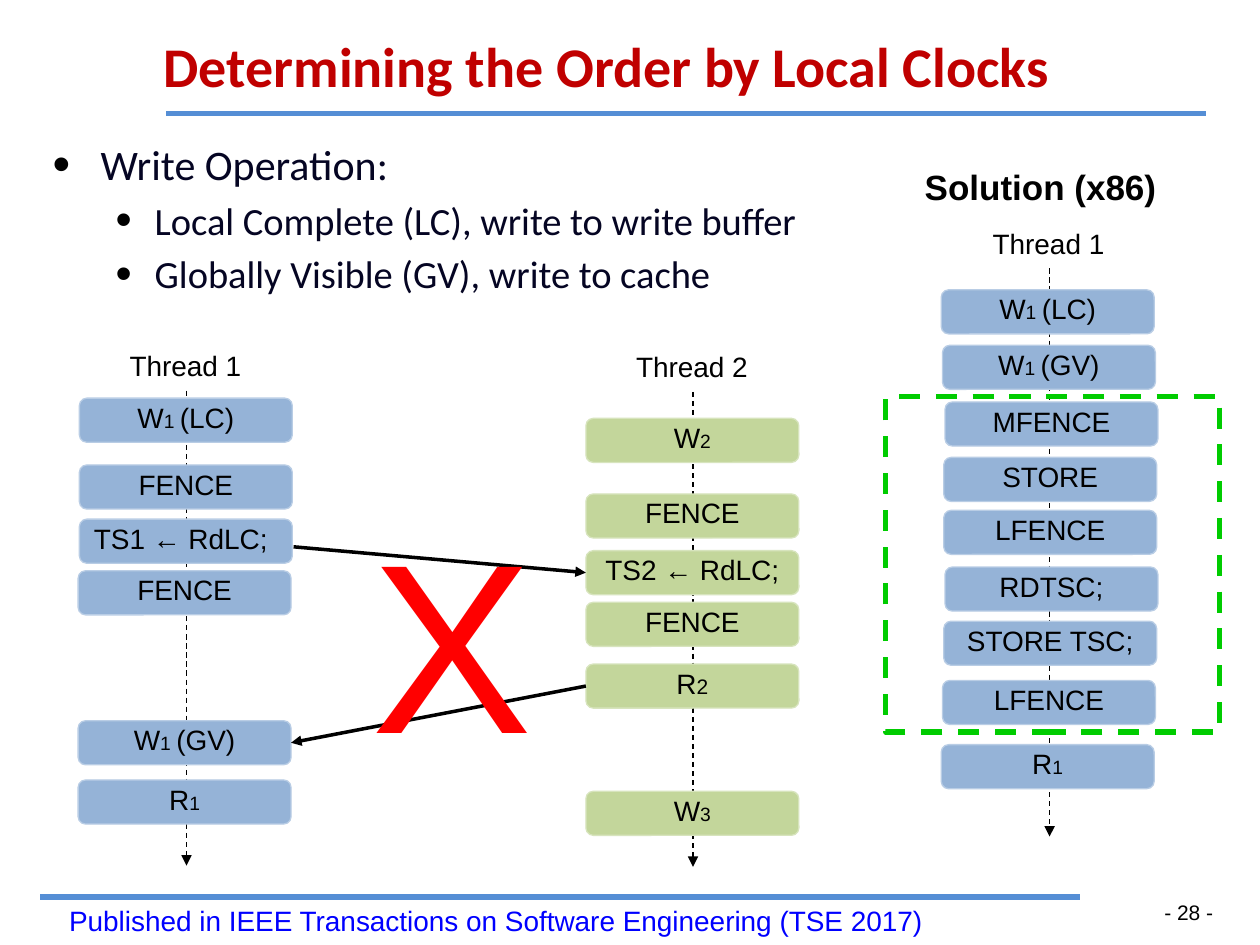
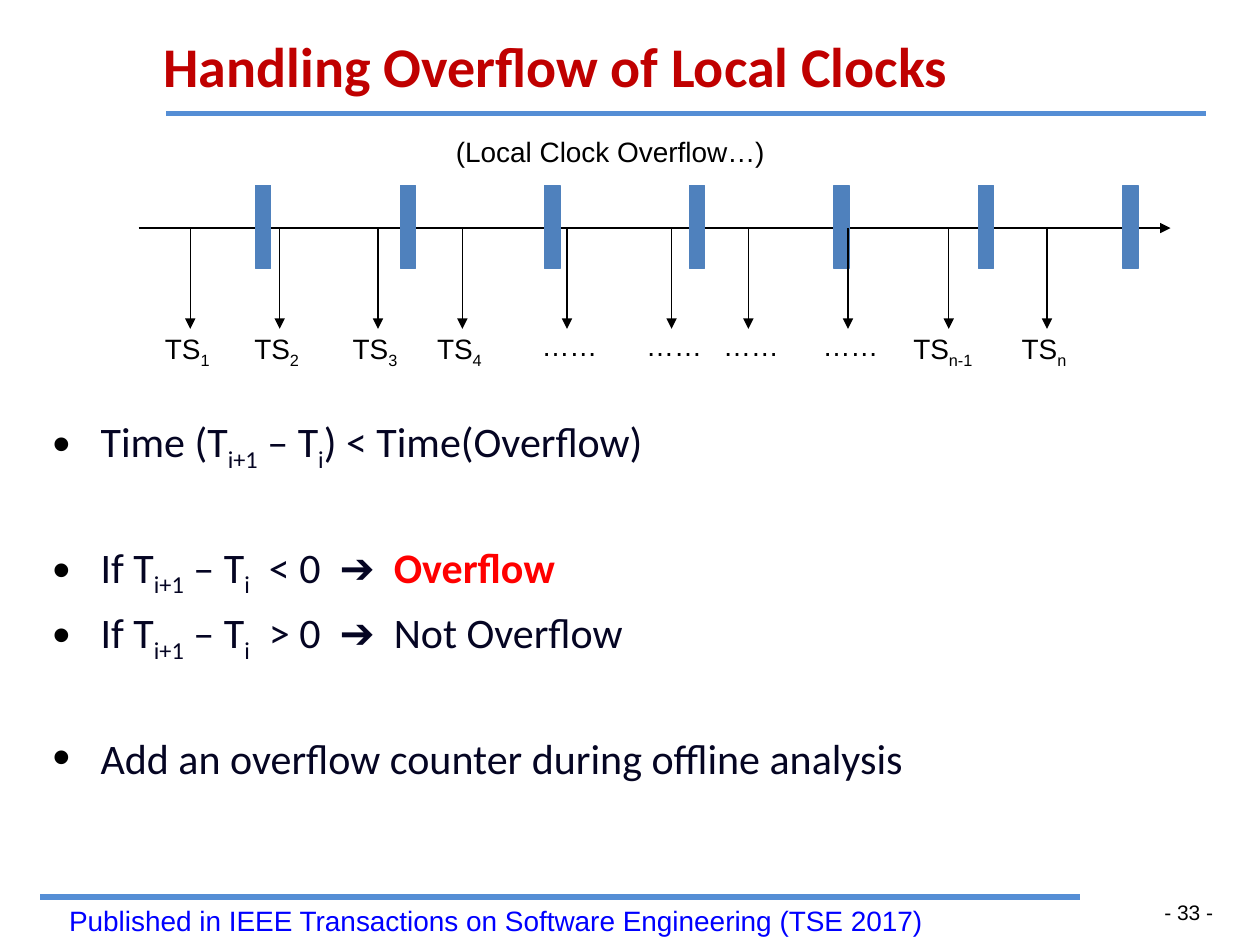
from lxml import etree
from pptx import Presentation
from pptx.dml.color import RGBColor
from pptx.enum.dml import MSO_LINE
from pptx.enum.shapes import MSO_CONNECTOR, MSO_SHAPE
from pptx.enum.text import MSO_ANCHOR, PP_ALIGN
from pptx.oxml.ns import qn
from pptx.util import Inches, Pt

COLORS = {
    "title": "C00000", "rule": "558ED5", "footer": "0000FF", "body": "050523",
    "black": "000000", "red": "FF0000", "highlight": "00CC00", "bar": "4F81BD",
    "blue": "95B3D7", "blue edge": "B9CDE5",
    "green": "C3D69B", "green edge": "D7E4BD",
}
FOOTER = "Published in IEEE Transactions on Software Engineering (TSE 2017)"

# A paragraph is a list of spans; a span is a text or a (text, format) pair.
SMALL = {"size": 11}
LOW = {"baseline": -25}
WIDE_SPACE = (" ", {"tracking": 5.4})
W1_LOCAL = ["W", ("1 ", SMALL), "(LC)"]
W1_GLOBAL = ["W", ("1 ", SMALL), "(GV)"]
R1 = ["R", ("1", SMALL)]

# Bullets: (level, space before in points, spans)
WRITE_BULLETS = [
    (0, 0, ["Write Operation:"]),
    (1, 4.4, ["Local Complete (LC), write to write buffer"]),
    (1, 4.4, ["Globally Visible (GV), write to cache"]),
]
DIFFERENCE = ["If T", ("i+1", LOW), " – T", ("i", LOW), WIDE_SPACE]
OVERFLOW_BULLETS = [
    (0, 0, ["Time (T", ("i+1", LOW), " – T", ("i", LOW), ") < Time(Overflow)"]),
    (0, 38.9, DIFFERENCE + ["< 0", WIDE_SPACE, "➔", WIDE_SPACE,
                            ("Overflow", {"color": "red", "bold": True})]),
    (0, 4.8, DIFFERENCE + ["> 0", WIDE_SPACE, "➔", WIDE_SPACE, "Not Overflow"]),
    (0, 38.9, ["Add an overflow counter during offline analysis"]),
]
BULLET_LEVELS = [
    {"margin": 0.38, "hanging": 0.38, "size": 24},
    {"margin": 0.81, "hanging": 0.31, "size": 22},
]

# Operations: (left, top, spans)
THREADS = [
    {"name": "Thread 1", "axis": 1.48, "top": 2.77, "end": 6.87, "color": "blue",
     "operations": [
         (0.63, 3.16, W1_LOCAL), (0.63, 3.69, ["FENCE"]),
         (0.63, 4.12, ["TS1 ← RdLC;"]), (0.62, 4.53, ["FENCE"]),
         (0.62, 5.72, W1_GLOBAL), (0.62, 6.19, R1)]},
    {"name": "Thread 2", "axis": 5.5, "top": 2.78, "end": 6.88, "color": "green",
     "operations": [
         (4.65, 3.32, ["W", ("2", SMALL)]), (4.65, 3.92, ["FENCE"]),
         (4.65, 4.37, ["TS2 ← RdLC;"]), (4.65, 4.78, ["FENCE"]),
         (4.65, 5.27, ["R", ("2", {"size": 12})]), (4.65, 6.28, ["W", ("3", SMALL)])]},
    {"name": "Thread 1", "axis": 8.33, "top": 1.8, "end": 6.64, "color": "blue",
     "operations": [
         (7.47, 2.3, W1_LOCAL), (7.48, 2.74, W1_GLOBAL), (7.5, 3.19, ["MFENCE"]),
         (7.49, 3.63, ["STORE"]), (7.49, 4.05, ["LFENCE"]), (7.5, 4.5, ["RDTSC;"]),
         (7.49, 4.93, ["STORE TSC;"]), (7.48, 5.4, ["LFENCE"]), (7.47, 5.91, R1)]},
]

# Time stamps: (x of the tick, spans)
TIME_STAMPS = [
    (1.51, ["TS", ("1", LOW)]), (2.22, ["TS", ("2", LOW)]),
    (3.0, ["TS", ("3", LOW)]), (3.67, ["TS", ("4", LOW)]),
    (4.5, ["……"]), (5.33, ["……"]), (5.94, ["……"]), (6.73, ["……"]),
    (7.45, ["TS", ("n-1", LOW)]), (8.31, ["TS", ("n", LOW)]),
]
LAST_BUT_ONE_TICK = 7.53
TIMELINE_Y = 1.81
OVERFLOW_COUNT, OVERFLOW_LEFT, OVERFLOW_STEP = 7, 2.03, 1.147


def rgb(name):
    return RGBColor.from_string(COLORS[name])


def write(para, spans, *, size=16, font="Arial", color="black", bold=False,
          spacing=0.8, before=0, align=PP_ALIGN.LEFT):
    """Fill a paragraph with spans that share a format unless they override it."""
    para.alignment = align
    para.line_spacing = spacing
    para.space_before = Pt(before)
    for item in spans:
        text, own = (item, {}) if isinstance(item, str) else item
        span = para.add_run()
        span.text = text
        span.font.name = font
        span.font.size = Pt(own.get("size", size))
        span.font.bold = own.get("bold", bold)
        span.font.color.rgb = rgb(own.get("color", color))
        properties = span._r.get_or_add_rPr()
        if "baseline" in own:
            properties.set("baseline", str(own["baseline"] * 1000))
        if "tracking" in own:
            properties.set("spc", str(round(own["tracking"] * 100)))


def add_box(page, left, top, width, height, spans=None, *, wrap=True,
            anchor=MSO_ANCHOR.TOP, inset=(0.1, 0.05), **text_format):
    box = page.shapes.add_textbox(Inches(left), Inches(top), Inches(width), Inches(height))
    frame = box.text_frame
    frame.word_wrap = wrap
    frame.vertical_anchor = anchor
    frame.margin_left = frame.margin_right = Inches(inset[0])
    frame.margin_top = frame.margin_bottom = Inches(inset[1])
    if spans:
        write(frame.paragraphs[0], spans, **text_format)
    return box


def add_shape(page, kind, left, top, width, height, *, fill=None, edge, weight=0.75):
    shape = page.shapes.add_shape(
        kind, Inches(left), Inches(top), Inches(width), Inches(height))
    shape.shadow.inherit = False
    if fill:
        shape.fill.solid()
        shape.fill.fore_color.rgb = rgb(fill)
    else:
        shape.fill.background()
    shape.line.color.rgb = rgb(edge)
    shape.line.width = Pt(weight)
    return shape


def add_line(page, start, end, *, color="black", weight=0.75, dashed=False, arrow=True):
    line = page.shapes.add_connector(
        MSO_CONNECTOR.STRAIGHT, *(Inches(value) for value in (*start, *end)))
    line.line.color.rgb = rgb(color)
    line.line.width = Pt(weight)
    if dashed:
        line.line.dash_style = MSO_LINE.DASH
    if arrow:
        etree.SubElement(line.line._get_or_add_ln(), qn("a:tailEnd"), type="triangle")
    etree.SubElement(line._element.spPr, qn("a:effectLst"))
    return line


def add_bullets(page, top, height, bullets):
    frame = add_box(page, 0.32, top, 9.36, height).text_frame
    for index, (level, before, spans) in enumerate(bullets):
        para = frame.add_paragraph() if index else frame.paragraphs[0]
        look = BULLET_LEVELS[level]
        properties = para._p.get_or_add_pPr()
        properties.set("marL", str(Inches(look["margin"])))
        properties.set("indent", str(-Inches(look["hanging"])))
        tint = etree.SubElement(properties, qn("a:buClr"))
        etree.SubElement(tint, qn("a:srgbClr"), val=COLORS["black"])
        etree.SubElement(properties, qn("a:buSzPct"), val="120000")
        etree.SubElement(properties, qn("a:buFont"), typeface="Arial")
        etree.SubElement(properties, qn("a:buChar"), char="•")
        write(para, spans, size=look["size"], font="Calibri", color="body",
              spacing=1.0, before=before)


def add_page(deck, title, number):
    """Add a slide with the title, rules, footer and page number all slides share."""
    page = deck.slides.add_slide(deck.slide_layouts[6])
    add_box(page, 9.19, 7.12, 0.52, 0.24, [f"- {number} -"], wrap=False,
            inset=(0.05, 0.02), size=12, spacing=1.0)
    for left, y in ((1.32, 0.9), (0.32, 7.12)):
        add_line(page, (left, y), (left + 8.25, y), color="rule", weight=3, arrow=False)
    add_box(page, 0.45, 7.17, 8.82, 0.32, [FOOTER], color="footer")
    add_box(page, 1.2, 0.14, 8.8, 0.7, [title], anchor=MSO_ANCHOR.BOTTOM, size=32,
            font="Calibri", color="title", bold=True, spacing=0.9)
    return page


def add_thread(page, thread):
    """Draw one thread's dashed axis and return its operation boxes."""
    axis, top, color = thread["axis"], thread["top"], thread["color"]
    add_line(page, (axis, top + 0.33), (axis, thread["end"]), dashed=True)
    add_box(page, axis - 0.55, top, 1.1, 0.32, [thread["name"]], wrap=False)
    boxes = []
    for left, box_top, spans in thread["operations"]:
        box = add_shape(page, MSO_SHAPE.ROUNDED_RECTANGLE, left, box_top, 1.69, 0.35,
                        fill=color, edge=f"{color} edge")
        box.text_frame.vertical_anchor = MSO_ANCHOR.MIDDLE
        is_first_stamp = spans[0].startswith("TS1")
        write(box.text_frame.paragraphs[0], spans,
              align=PP_ALIGN.LEFT if is_first_stamp else PP_ALIGN.CENTER)
        boxes.append(box)
    return boxes


def build_order_page(deck):
    page = add_page(deck, "Determining the Order by Local Clocks", 28)
    add_bullets(page, 1.05, 1.4, WRITE_BULLETS)
    first, second, _ = [add_thread(page, thread) for thread in THREADS]
    stamp_arrow = add_line(page, (2.33, 4.34), (4.65, 4.55), weight=2)
    stamp_arrow.end_connect(second[2], 1)
    read_arrow = add_line(page, (4.65, 5.45), (2.31, 5.89), weight=2)
    read_arrow.begin_connect(second[4], 1)
    read_arrow.end_connect(first[4], 3)
    add_box(page, 2.85, 4.3, 1.49, 1.96, ["X"], wrap=False, size=138, color="red")
    add_box(page, 7.24, 1.33, 2.25, 0.37, ["Solution (x86)"], size=20, bold=True)
    highlight = add_shape(page, MSO_SHAPE.RECTANGLE, 7.03, 3.15, 2.65, 2.66,
                          edge="highlight", weight=3)
    highlight.line.dash_style = MSO_LINE.DASH


def build_overflow_page(deck):
    page = add_page(deck, "Handling Overflow of Local Clocks", 33)
    add_bullets(page, 3.25, 3.87, OVERFLOW_BULLETS)
    add_line(page, (1.1, TIMELINE_Y), (9.29, TIMELINE_Y))
    for index in range(OVERFLOW_COUNT):
        add_shape(page, MSO_SHAPE.RECTANGLE, OVERFLOW_LEFT + index * OVERFLOW_STEP,
                  TIMELINE_Y - 0.34, 0.12, 0.66, fill="bar", edge="bar")
    add_box(page, 3.52, 1.07, 3.13, 0.32, ["(Local Clock Overflow…)"])
    for index, (x, label) in enumerate(TIME_STAMPS):
        tick = LAST_BUT_ONE_TICK if index == len(TIME_STAMPS) - 2 else x
        add_line(page, (tick, TIMELINE_Y), (tick, TIMELINE_Y + 0.8))
        add_box(page, x - 0.3, TIMELINE_Y + 0.8, 0.78, 0.32, label)


def main():
    deck = Presentation()
    deck.slide_width, deck.slide_height = Inches(10), Inches(7.5)
    build_order_page(deck)
    build_overflow_page(deck)
    deck.save("out.pptx")


if __name__ == "__main__":
    main()
